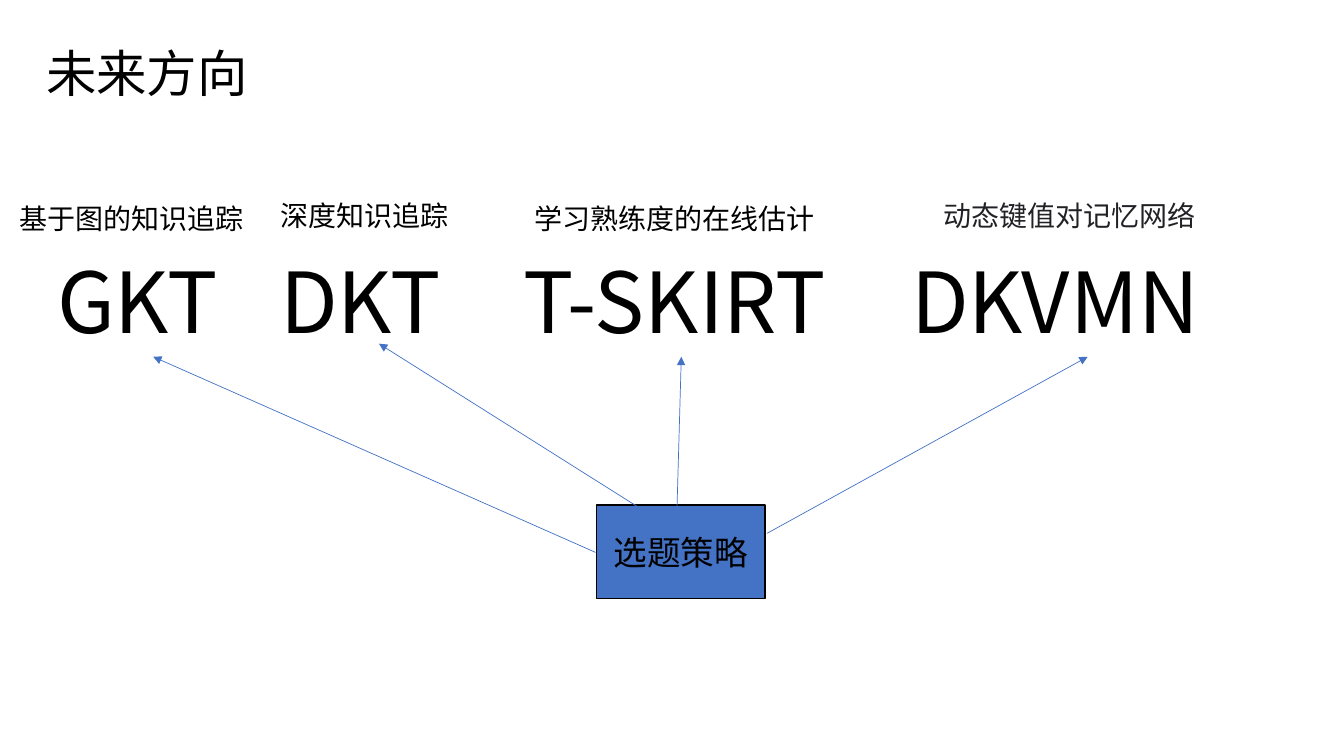
from lxml.etree import SubElement
from pptx import Presentation
from pptx.dml.color import RGBColor
from pptx.enum.shapes import MSO_CONNECTOR as CONN, MSO_SHAPE as SHAPE
from pptx.enum.text import MSO_ANCHOR as ANCHOR, MSO_AUTO_SIZE as FIT, PP_ALIGN as ALIGN
from pptx.oxml.ns import qn
from pptx.util import Cm, Pt

FONT = "Noto Sans CJK SC"
COLORS = {"text": "000000", "soft": "222226", "blue": "4472C4"}

# Model: name, left, width; label, left, top, width, colour
MODELS = [
    ("GKT", 1.19, 4.98, "基于图的知识追踪", 0.23, 4.95, 6.27, "text"),
    ("DKT", 6.81, 4.85, "深度知识追踪", 6.81, 4.88, 4.85, "text"),
    ("T-SKIRT", 12.95, 8.43, "学习熟练度的在线估计", 13.21, 4.95, 7.75, "text"),
    ("DKVMN", 22.71, 9.4, "动态键值对记忆网络", 23.52, 4.88, 7.75, "soft"),
]
# Arrows from the strategy box to each model: x1, y1, x2, y2
ARROWS = [
    (15.01, 13.92, 3.86, 8.99),
    (16.61, 13.11, 9.55, 8.66),
    (17.04, 13.54, 17.17, 8.99),
    (19.33, 13.44, 27.41, 8.99),
]


def rgb(name):
    return RGBColor.from_string(COLORS[name])


def write(shape, text, size, color="text", align=ALIGN.LEFT,
          anchor=ANCHOR.TOP, fit=FIT.SHAPE_TO_FIT_TEXT):
    tf = shape.text_frame
    frame_format = {
        "word_wrap": True, "auto_size": fit, "vertical_anchor": anchor,
        "margin_left": Cm(0.25), "margin_right": Cm(0.25),
        "margin_top": Cm(0.13), "margin_bottom": Cm(0.13),
    }
    for key, value in frame_format.items():
        setattr(tf, key, value)
    p = tf.paragraphs[0]
    p.alignment = align
    r = p.add_run()
    r.text = text
    for key, value in {"name": FONT, "size": Pt(size), "bold": False}.items():
        setattr(r.font, key, value)
    r.font.color.rgb = rgb(color)
    # East Asian typeface
    SubElement(r.font._element, qn("a:ea"), typeface=FONT)


def add_title(s, text, left, top, width, height):
    title = s.shapes.title
    place = {"left": left, "top": top, "width": width, "height": height}
    for key, value in place.items():
        setattr(title, key, Cm(value))
    write(title, text, 36)


def add_text(s, text, left, top, width, height, size, color="text"):
    tb = s.shapes.add_textbox(Cm(left), Cm(top), Cm(width), Cm(height))
    write(tb, text, size, color)


def add_box(s, text, left, top, width, height):
    sp = s.shapes.add_shape(SHAPE.RECTANGLE, Cm(left), Cm(top), Cm(width), Cm(height))
    sp.shadow.inherit = False
    sp.fill.solid()
    sp.fill.fore_color.rgb = rgb("blue")
    sp.line.color.rgb = rgb("text")
    sp.line.width = Pt(1)
    write(sp, text, 24, align=ALIGN.CENTER, anchor=ANCHOR.MIDDLE, fit=FIT.NONE)


def add_arrow(s, *ends):
    cx = s.shapes.add_connector(CONN.STRAIGHT, *map(Cm, ends))
    cx.line.color.rgb = rgb("blue")
    cx.line.width = Pt(0.5)
    SubElement(cx.line._get_or_add_ln(), qn("a:tailEnd"), type="triangle")
    SubElement(cx._element.spPr, qn("a:effectLst"))


def main():
    prs = Presentation()
    prs.slide_width, prs.slide_height = Cm(33.87), Cm(19.05)
    s = prs.slides.add_slide(prs.slide_layouts[5])

    # Title
    add_title(s, "未来方向", 0.91, 0.94, 27.05, 1.8)

    # Models with their labels
    for name, left, width, label, label_left, label_top, label_width, color in MODELS:
        add_text(s, name, left, 6.17, width, 2.82, 60)
        add_text(s, label, label_left, label_top, label_width, 1.12, 20, color)

    # Strategy box and its arrows
    add_box(s, "选题策略", 15.04, 12.73, 4.24, 2.36)
    for ends in ARROWS:
        add_arrow(s, *ends)

    prs.save("out.pptx")


if __name__ == "__main__":
    main()
